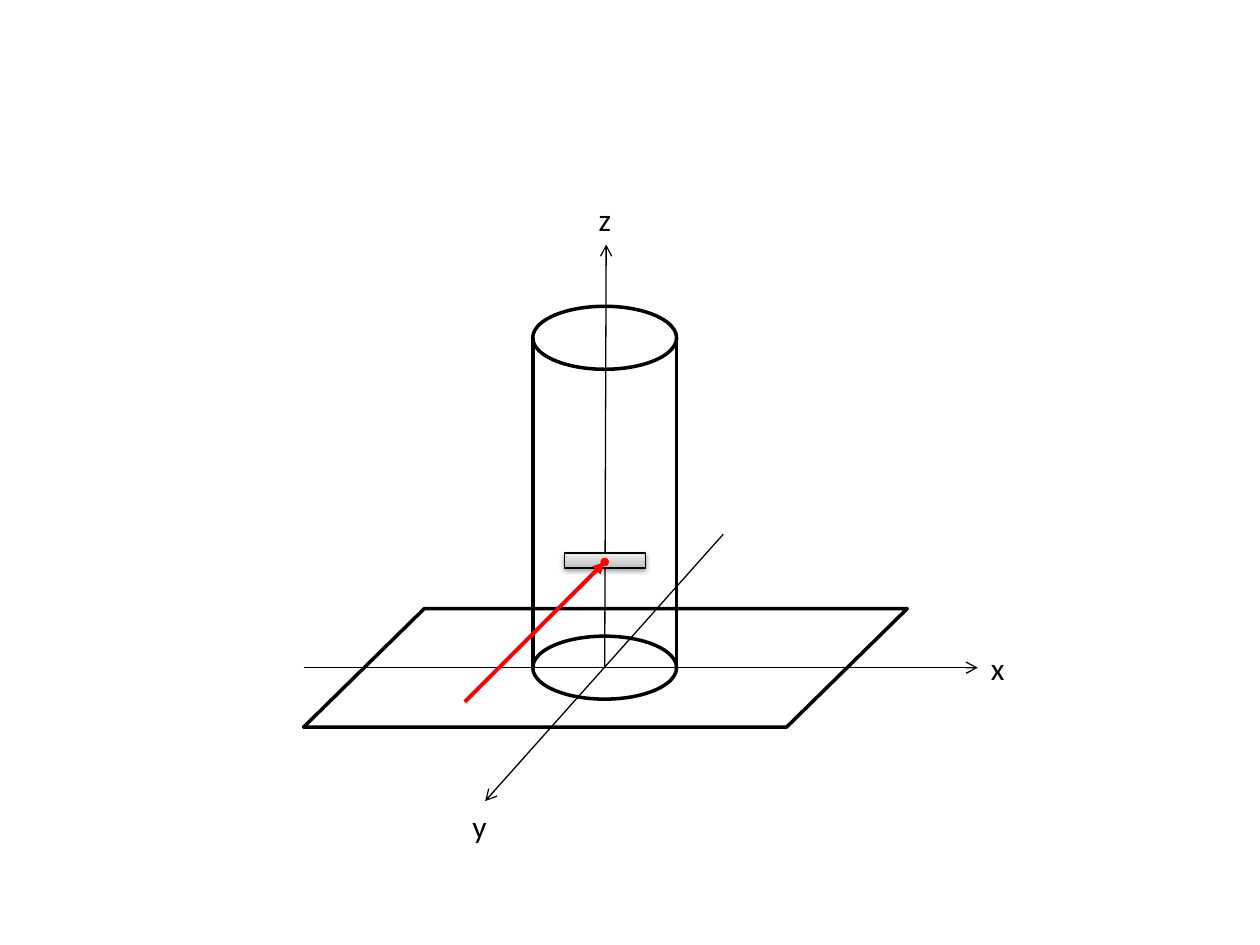
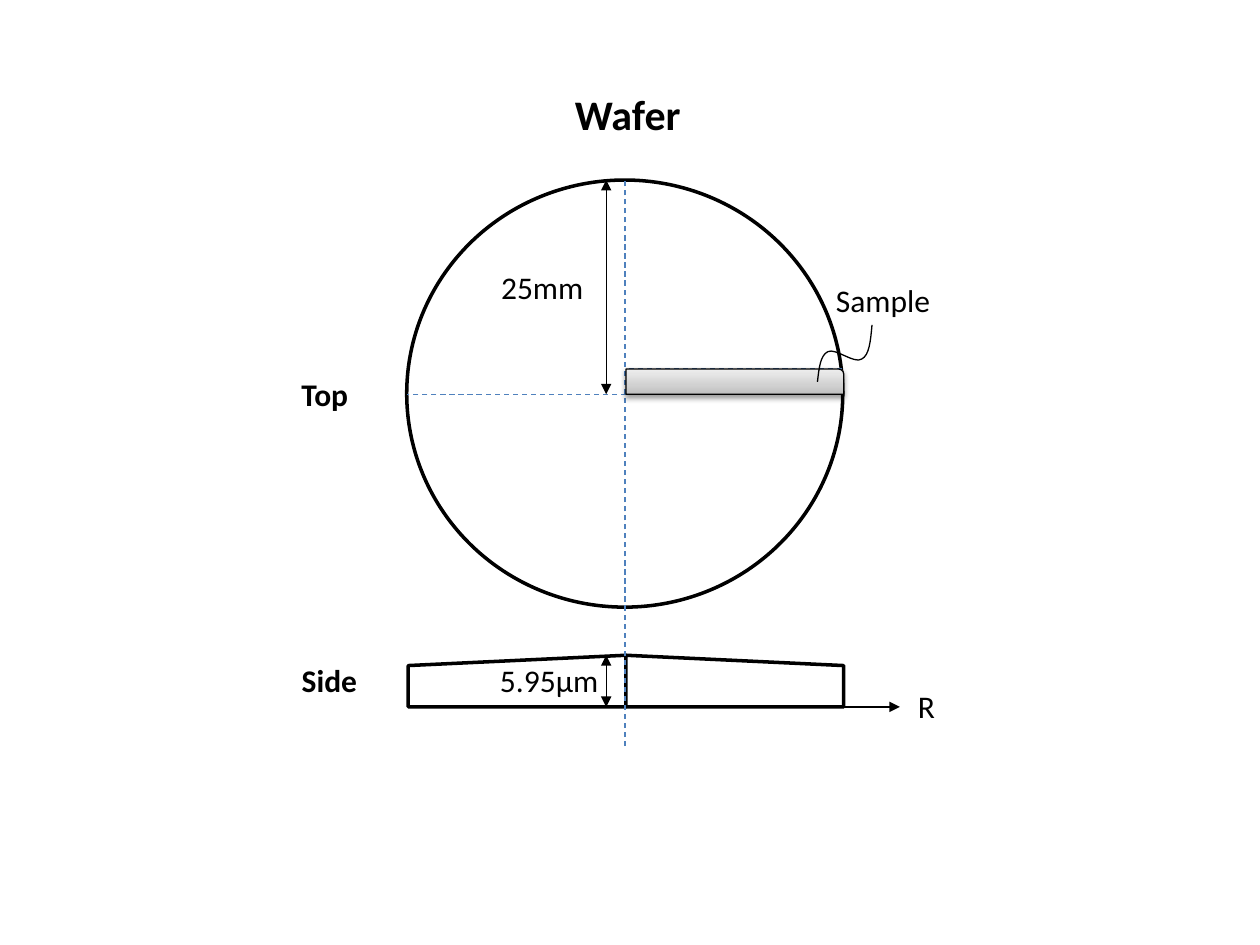
"""Draws a cylinder in axes and a wafer with its sample, one slide each."""
from lxml.etree import SubElement
from pptx import Presentation
from pptx.dml.color import RGBColor
from pptx.enum.dml import MSO_LINE_DASH_STYLE as Dash
from pptx.enum.shapes import MSO_CONNECTOR as Connector, MSO_SHAPE as Shape
from pptx.enum.text import MSO_AUTO_SIZE as AutoSize, PP_ALIGN as Align
from pptx.oxml.ns import qn
from pptx.util import Cm, Pt

COLOURS = {"ink": "000000", "paper": "FFFFFF", "beam": "FF0000", "guide": "4F81BD"}
METAL_STOPS = {0: "BDBDBD", 35: "D1D1D1", 100: "EEEEEE"}
FONT = "Calibri"
THICK, THIN = 2, 0.75
LABEL_HEIGHT = 1.02


class Sketch:
    def __init__(self, presentation):
        self.presentation = presentation
        self.shapes = None

    def new_slide(self):
        slide = self.presentation.slides.add_slide(self.presentation.slide_layouts[6])
        self.slide_shapes = self.shapes = slide.shapes

    def open_group(self):
        self.shapes = self.slide_shapes.add_group_shape().shapes

    def close_group(self):
        self.shapes = self.slide_shapes

    def colour(self, name):
        return RGBColor.from_string(COLOURS[name])

    def stroke(self, item, colour, width):
        item.line.color.rgb = self.colour(colour)
        item.line.width = Pt(width)

    def outline(self, kind, left, top, width, height, fill="paper", line="ink",
                weight=THICK, flip=False):
        shape = self.shapes.add_shape(kind, Cm(left), Cm(top), Cm(width), Cm(height))
        shape.shadow.inherit = False
        shape.fill.solid()
        shape.fill.fore_color.rgb = self.colour(fill)
        self.stroke(shape, line, weight)
        if flip:
            shape._element.spPr.find(qn("a:xfrm")).set("flipH", "1")
        return shape

    def metal_bar(self, kind, left, top, width, height):
        shape = self.outline(kind, left, top, width, height, weight=THIN)
        shape.fill.gradient()
        shape.fill.gradient_angle = 90
        properties = shape._element.spPr
        stops = properties.find(".//" + qn("a:gsLst"))
        stops.clear()
        for position, value in METAL_STOPS.items():
            stop = SubElement(stops, qn("a:gs"), pos=str(position * 1000))
            SubElement(stop, qn("a:srgbClr"), val=value)
        shadow = SubElement(properties.find(qn("a:effectLst")), qn("a:outerShdw"),
                            blurRad=str(Pt(3.1)), dist=str(Pt(1.6)),
                            dir="5400000", rotWithShape="0")
        tint = SubElement(shadow, qn("a:srgbClr"), val=COLOURS["ink"])
        SubElement(tint, qn("a:alpha"), val="38000")
        return shape

    def line(self, start, end, colour="ink", weight=THIN, head=None, tail=None, dashed=False):
        connector = self.shapes.add_connector(Connector.STRAIGHT, *map(Cm, start + end))
        self.stroke(connector, colour, weight)
        if dashed:
            connector.line.dash_style = Dash.DASH
        properties = connector._element.spPr
        for tag, arrow in (("a:headEnd", head), ("a:tailEnd", tail)):
            if arrow:
                SubElement(properties.find(qn("a:ln")), qn(tag), type=arrow)
        SubElement(properties, qn("a:effectLst"))

    def curve(self, start, controls):
        builder = self.shapes.build_freeform(*map(Cm, start))
        builder.add_line_segments([(Cm(x), Cm(y)) for x, y in controls], close=False)
        shape = builder.convert_to_shape()
        shape.shadow.inherit = False
        shape.fill.background()
        self.stroke(shape, "ink", THIN)
        track = shape._element.spPr.find(".//" + qn("a:path"))
        segments = track.findall(qn("a:lnTo"))
        for first in range(0, len(segments), 3):
            bezier = SubElement(track, qn("a:cubicBezTo"))
            for segment in segments[first:first + 3]:
                bezier.append(segment[0])
                track.remove(segment)

    def label(self, text, left, top, width, height=LABEL_HEIGHT, size=18, bold=False,
              right_to_left=True):
        box = self.shapes.add_textbox(Cm(left), Cm(top), Cm(width), Cm(height))
        frame = box.text_frame
        frame.word_wrap = False
        frame.auto_size = AutoSize.SHAPE_TO_FIT_TEXT
        paragraph = frame.paragraphs[0]
        if right_to_left:
            paragraph.alignment = Align.RIGHT
            paragraph._p.get_or_add_pPr().set("rtl", "1")
        run = paragraph.add_run()
        run.text = text
        run.font.name = FONT
        run.font.size = Pt(size)
        run.font.bold = bold
        run.font.color.rgb = self.colour("ink")


def draw_cylinder(sketch):
    sketch.new_slide()
    sketch.outline(Shape.FLOWCHART_DATA, 6.12, 12.27, 12.17, 2.39)

    left, diameter, depth, top, floor = 10.74, 2.9, 1.27, 6.81, 13.46
    sketch.open_group()
    for level in (top, floor):
        sketch.outline(Shape.OVAL, left, level - depth / 2, diameter, depth)
    for side in (left, left + diameter):
        sketch.line((side, top), (side, floor), weight=THICK)
    sketch.close_group()

    for start, end in (((14.58, 10.77), (9.78, 16.15)),
                       ((6.12, floor), (19.71, floor)),
                       ((12.19, floor), (12.22, 4.93))):
        sketch.line(start, end, tail="arrow")

    sketch.metal_bar(Shape.RECTANGLE, 11.38, 11.15, 1.63, 0.3)
    sketch.line((9.37, 14.15), (12.19, 11.33), "beam", 2.25, tail="triangle")
    sketch.outline(Shape.OVAL, 12.14, 11.28, 0.1, 0.1, fill="beam", line="beam")
    for name, x, y, width in (("x", 19.71, 12.95, 0.79), ("y", 9.25, 16.15, 0.81),
                              ("z", 11.81, 3.91, 0.76)):
        sketch.label(name, x, y, width)


def draw_wafer(sketch):
    sketch.new_slide()
    left, right, top, middle = 8.2, 16.99, 3.63, 7.95
    axis, half, half_width = 12.6, 12.62, 4.39
    side_top, side_height = 13.21, 1.04
    base = side_top + side_height
    bar_top, bar_height = 7.44, 0.51

    sketch.label("Wafer", 11.3, 1.65, 2.67, 1.27, size=24, bold=True)
    sketch.outline(Shape.OVAL, left, top, right - left, 8.61)
    for start, flip in ((half - half_width, False), (half, True)):
        sketch.outline(Shape.FLOWCHART_MANUAL_INPUT, start, side_top, half_width,
                       side_height, flip=flip)

    for start, end in (((axis, 15.04), (axis, top)),
                       ((right, middle), (left, middle)),
                       ((16.97, bar_top), (12.65, bar_top))):
        sketch.line(start, end, "guide", dashed=True)

    sketch.line((18.14, base), (half, base), head="triangle")
    sketch.label("R", 18.24, 13.72, 0.86)
    bar = sketch.metal_bar(Shape.ROUND_1_RECTANGLE, half, bar_top, half_width, bar_height)
    bar.adjustments[0] = 0.2

    for upper, lower in ((top, middle), (side_top, base)):
        sketch.line((12.22, upper), (12.22, lower), head="triangle", tail="triangle")
    sketch.label("25mm", 9.83, 5.28, 2.18)
    sketch.label("Top", 5.82, bar_top, 1.45, bold=True)
    sketch.label("Side", 5.82, side_top, 1.63, bold=True)
    sketch.label("5.95μm", 9.83, side_top, 2.51, right_to_left=False)

    sketch.curve((17.58, 6.55), [(17.55, 6.86), (17.53, 7.16), (17.37, 7.24),
                                 (17.22, 7.34), (16.84, 7.01), (16.69, 7.09),
                                 (16.54, 7.16), (16.51, 7.42), (16.48, 7.7)])
    sketch.label("Sample", 16.56, 5.54, 2.44)


def main():
    presentation = Presentation()
    presentation.slide_width = Cm(25.4)
    presentation.slide_height = Cm(19.05)
    sketch = Sketch(presentation)
    draw_cylinder(sketch)
    draw_wafer(sketch)
    presentation.save("out.pptx")


if __name__ == "__main__":
    main()
